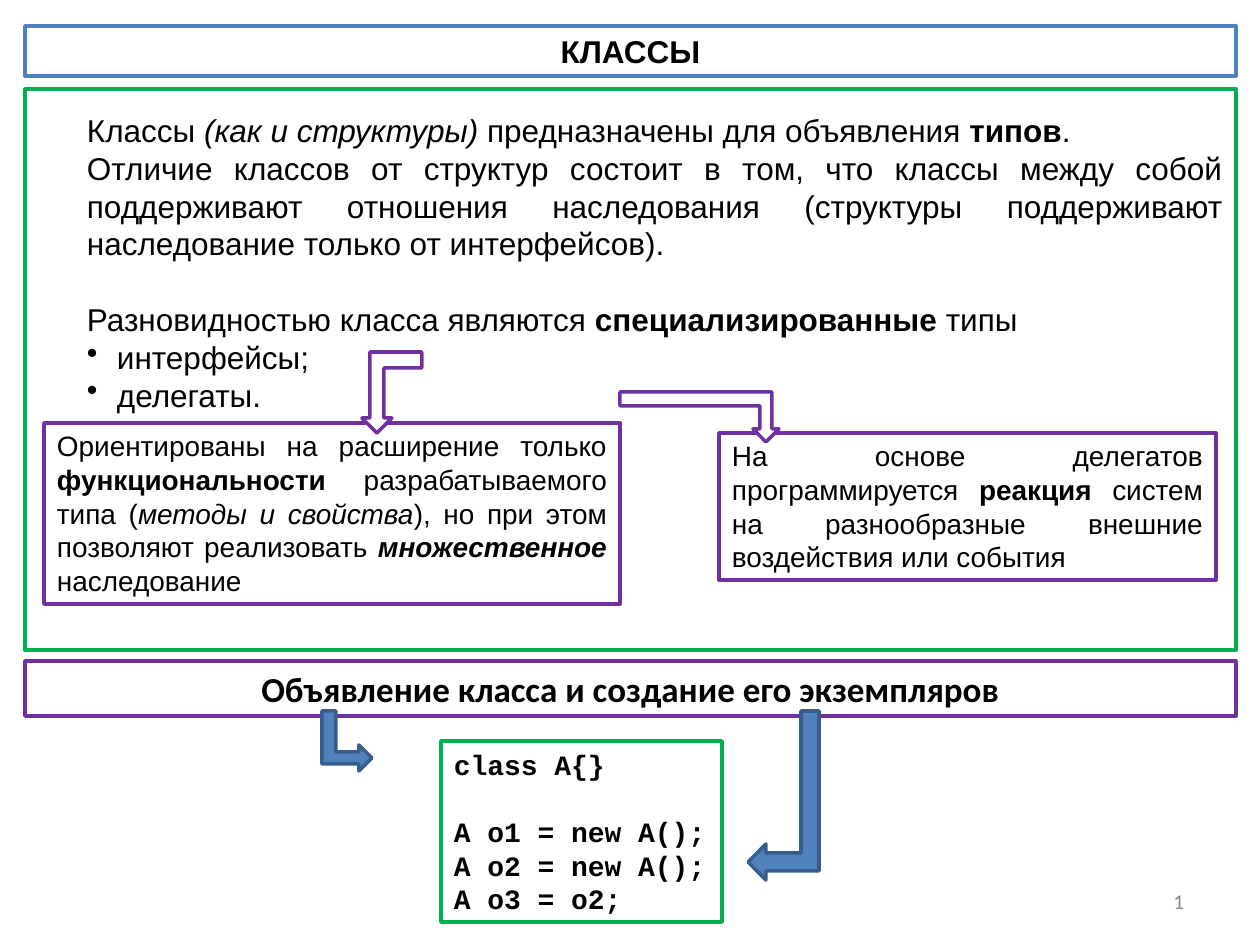
import pptx
import pptx.dml.color
import pptx.enum.shapes
import pptx.enum.text
import pptx.util
from lxml import etree

PX = 914400 / 126  # EMU in one px
ALIGN = pptx.enum.text.PP_ALIGN
ANCHOR = pptx.enum.text.MSO_ANCHOR
BLUE, DARK_BLUE, GREEN, PURPLE = "4F81BD", "385D8A", "00B050", "7030A0"
BLACK, GREY, WHITE = "000000", "898989", "FFFFFF"
LINE_HEIGHT = 1.2  # line pitch as a share of the text size
MARGINS = (13, 6, 13, 6)


def emu(px):
    return pptx.util.Emu(round(px * PX))


def colour(value):
    return pptx.dml.color.RGBColor.from_string(value)


def apply(target, values):
    for name, value in values.items():
        setattr(target, name, value)


def paint(shape, line, fill=None):
    shape.shadow.inherit = False
    if fill:
        shape.fill.solid()
        shape.fill.fore_color.rgb = colour(fill)
    else:
        shape.fill.background()
    shape.line.color.rgb = colour(line)
    shape.line.width = pptx.util.Pt(2)


def add_bullet(para, hang):
    properties = para._p.get_or_add_pPr()
    properties.set("marL", str(emu(hang)))
    properties.set("indent", str(-emu(hang)))
    bullet = etree.SubElement(properties, pptx.oxml.ns.qn("a:buChar"))
    bullet.set("char", "•")


def write(shape, paragraphs, size, font="Arial", align=ALIGN.JUSTIFY,
          anchor=ANCHOR.TOP, margins=MARGINS, ink=BLACK):
    """Each paragraph is a dict: spans (text, style letters), gap, bullet."""
    frame = shape.text_frame
    sides = ("margin_left", "margin_top", "margin_right", "margin_bottom")
    apply(frame, dict(zip(sides, map(emu, margins)),
                      word_wrap=True, vertical_anchor=anchor))
    pitch = pptx.util.Pt(size * LINE_HEIGHT)
    for number, item in enumerate(paragraphs):
        para = frame.add_paragraph() if number else frame.paragraphs[0]
        apply(para, {"alignment": align, "line_spacing": pitch,
                     "space_before": pitch if item.get("gap") else 0})
        if item.get("bullet"):
            add_bullet(para, 30)
        for text, style in item["spans"]:
            span = para.add_run()
            span.text = text
            apply(span.font, {"name": font, "size": pptx.util.Pt(size),
                              "bold": "b" in style, "italic": "i" in style})
            span.font.color.rgb = colour(ink)


def panel(page, box, line, paragraphs, size, **format_values):
    """Outlined rectangle with text."""
    shape = page.shapes.add_shape(
        pptx.enum.shapes.MSO_SHAPE.RECTANGLE, *map(emu, box))
    paint(shape, line)
    write(shape, paragraphs, size, **format_values)


def bent_arrow(page, start, elbow, tip, shaft, line, fill):
    """Block arrow with one right-angle turn; the head is twice the shaft."""
    def unit(a, b):
        length = abs(b[0] - a[0]) + abs(b[1] - a[1])
        return (b[0] - a[0]) / length, (b[1] - a[1]) / length

    first, last = unit(start, elbow), unit(elbow, tip)

    def offset(point, along_first, along_last):
        return tuple(point[axis] + first[axis] * along_first
                     + last[axis] * along_last for axis in (0, 1))

    half = shaft / 2
    outline = [
        offset(start, 0, half), offset(elbow, -half, half),
        offset(tip, -half, -shaft), offset(tip, -shaft, -shaft), tip,
        offset(tip, shaft, -shaft), offset(tip, half, -shaft),
        offset(elbow, half, -half), offset(start, 0, -half),
    ]
    builder = page.shapes.build_freeform(*outline[0], scale=PX)
    builder.add_line_segments(outline[1:], close=True)
    paint(builder.convert_to_shape(), line, fill)


def page_number(page, box):
    shape = page.shapes.add_textbox(*map(emu, box))
    write(shape, [{"spans": [("1", "")]}], 12, font="Calibri",
          align=ALIGN.RIGHT, anchor=ANCHOR.MIDDLE, ink=GREY)


def theory(page, box):
    """Main panel with the two notes and the arrows leading to them."""
    left, top, _, _ = box

    def at(x, y):
        return left + x, top + y

    panel(page, box, GREEN, [
        {"spans": [("Классы ", ""), ("(как и структуры)", "i"),
                   (" предназначены для объявления ", ""), ("типов", "b"), (".", "")]},
        {"spans": [("Отличие классов от структур состоит в том, что классы между "
                    "собой поддерживают отношения наследования (структуры "
                    "поддерживают наследование только от интерфейсов).", "")]},
        {"gap": True, "spans": [("Разновидностью класса являются ", ""),
                                ("специализированные", "b"), (" типы", "")]},
        {"bullet": True, "spans": [("интерфейсы;", "")]},
        {"bullet": True, "spans": [("делегаты.", "")]},
    ], 18, margins=(62, 22, 13, 10))

    panel(page, (*at(19, 334), 576, 181), PURPLE, [
        {"spans": [("Ориентированы на расширение только ", ""),
                   ("функциональности", "b"), (" разрабатываемого типа (", ""),
                   ("методы и свойства", "i"),
                   ("), но при этом позволяют реализовать ", ""),
                   ("множественное", "bi"), (" наследование", "")]},
    ], 16)
    panel(page, (*at(694, 344), 497, 147), PURPLE, [
        {"spans": [("На основе делегатов программируется ", ""), ("реакция", "b"),
                   (" систем на разнообразные внешние воздействия или события", "")]},
    ], 16)

    bent_arrow(page, at(595, 310), at(741, 310), at(741, 353), 13, PURPLE, WHITE)
    bent_arrow(page, at(397, 271), at(352, 271), at(352, 344), 15, PURPLE, WHITE)


def example(page, box):
    """Code panel with the arrows pointing at its two parts."""
    left, top, _, _ = box

    def at(x, y):
        return left + x, top + y

    lines = ["class A{}", "A o1 = new A();", "A o2 = new A();", "A o3 = o2;"]
    panel(page, box, GREEN,
          [{"spans": [(line, "b")], "gap": number == 1}
           for number, line in enumerate(lines)],
          16, font="Courier New", align=ALIGN.LEFT, anchor=ANCHOR.MIDDLE)
    bent_arrow(page, at(-112, -30), at(-112, 17), at(-69, 17), 13, DARK_BLUE, BLUE)
    bent_arrow(page, at(369, -30), at(369, 121), at(307, 121), 18, DARK_BLUE, BLUE)


def heading(page, box, line, text, size, font):
    panel(page, box, line, [{"spans": [(text, "b")]}], size,
          font=font, align=ALIGN.CENTER)


def main():
    deck = pptx.Presentation()
    deck.slide_width, deck.slide_height = emu(1260), emu(945)
    page = deck.slides.add_slide(deck.slide_layouts[6])

    page_number(page, (903, 876, 294, 50))
    heading(page, (25, 26, 1211, 50), BLUE, "КЛАССЫ", 18, "Arial")
    theory(page, (25, 89, 1211, 561))
    heading(page, (25, 661, 1211, 55), PURPLE,
            "Объявление класса и создание его экземпляров", 20, "Calibri")
    example(page, (441, 741, 281, 181))

    deck.save("out.pptx")


if __name__ == "__main__":
    main()
